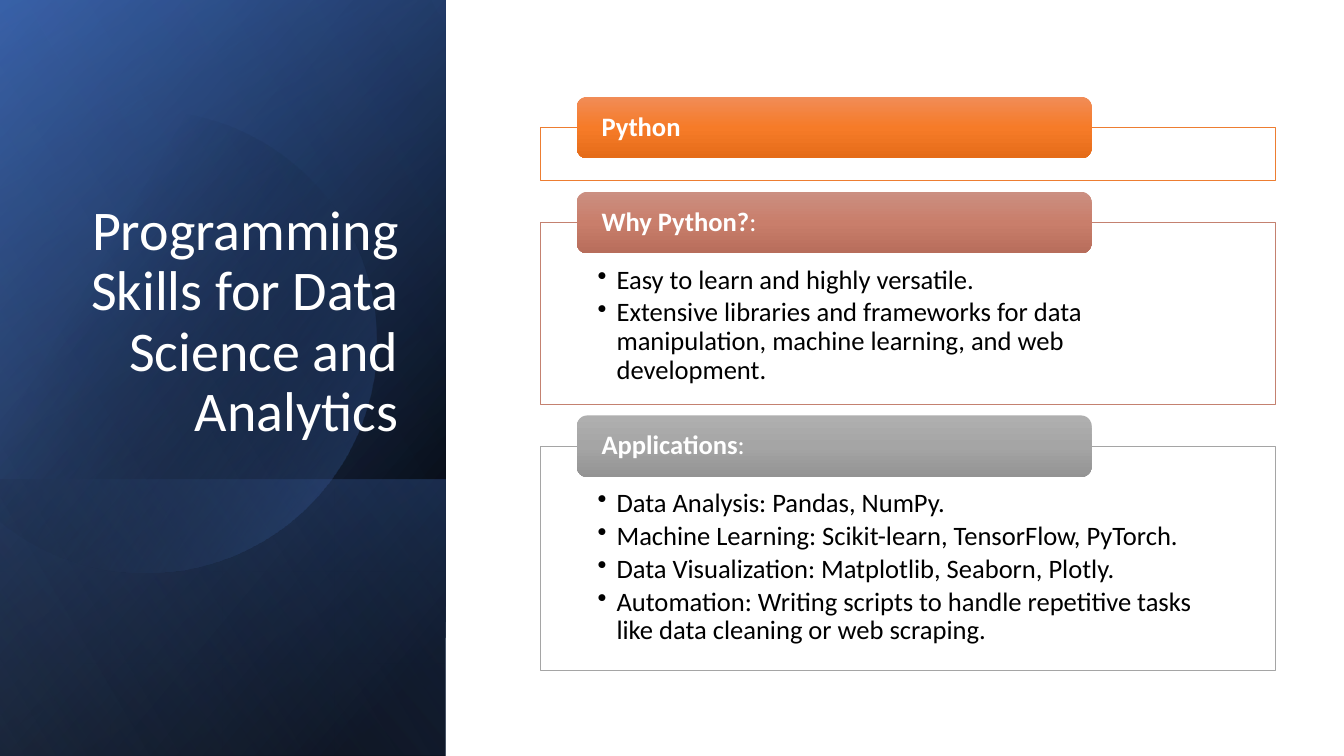
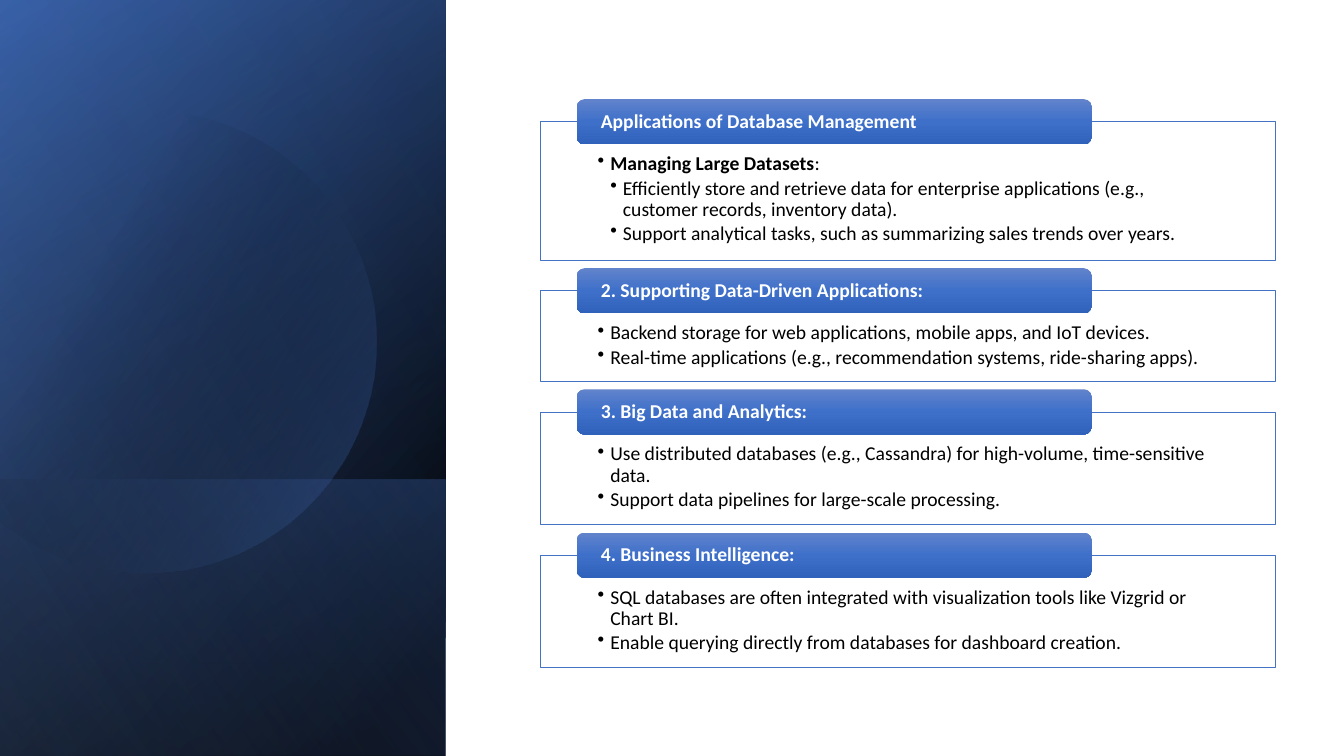
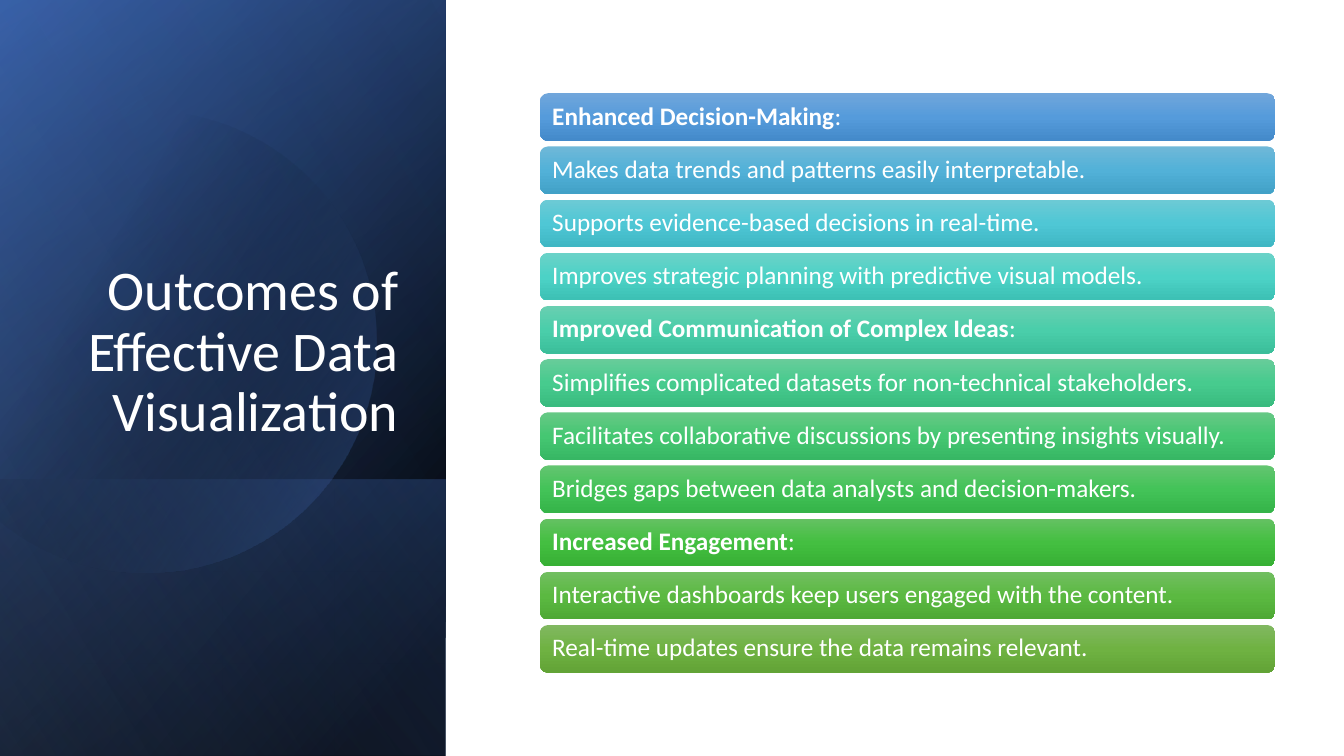
from math import acos, cos, radians, sin

from lxml import etree
from pptx import Presentation
from pptx.dml.color import RGBColor
from pptx.enum.shapes import MSO_SHAPE
from pptx.enum.text import MSO_ANCHOR, PP_ALIGN
from pptx.oxml.ns import qn
from pptx.util import Cm, Pt

RECT, ROUND = MSO_SHAPE.RECTANGLE, MSO_SHAPE.ROUNDED_RECTANGLE
TOP, MIDDLE, BOTTOM = MSO_ANCHOR.TOP, MSO_ANCHOR.MIDDLE, MSO_ANCHOR.BOTTOM
LEFT, RIGHT = PP_ALIGN.LEFT, PP_ALIGN.RIGHT
TITLE_ONLY, BLANK = 5, 6

FONT = "Calibri"
WHITE, BLACK, BLUE = "FFFFFF", "000000", "4472C4"
SLIDE_W, SLIDE_H = 33.87, 19.05
PANEL_W = 11.23
AREA_X, AREA_W = 13.61, 18.53      # content column right of the panel


def rgb(hex_color):
    return RGBColor.from_string(hex_color)


# ---- Shared helpers ----
def gradient(sp, stops, angle):
    """Stops are (position %, colour, opacity %)."""
    sp.fill.gradient()
    grad = sp._element.spPr.find(qn("a:gradFill"))
    gs_list = grad.find(qn("a:gsLst"))
    for old in list(gs_list):
        gs_list.remove(old)
    for pos, color, opacity in stops:
        gs = etree.SubElement(gs_list, qn("a:gs"), pos=str(pos * 1000))
        clr = etree.SubElement(gs, qn("a:srgbClr"), val=color)
        if opacity < 100:
            etree.SubElement(clr, qn("a:alpha"), val=str(opacity * 1000))
    grad.find(qn("a:lin")).set("ang", str(angle * 60000))
    sp.line.fill.background()
    sp.shadow.inherit = False


def add_box(s, kind, x, y, w, h):
    return s.shapes.add_shape(kind, Cm(x), Cm(y), Cm(w), Cm(h))


def set_frame(tf, anchor, side, top=0, bottom=0):
    tf.word_wrap = True
    tf.vertical_anchor = anchor
    tf.margin_left = tf.margin_right = Cm(side)
    tf.margin_top, tf.margin_bottom = Cm(top), Cm(bottom)


def write(p, bold, plain, size, color, align=LEFT):
    """Fill a paragraph with a bold part followed by a plain part."""
    p.alignment = align
    p.line_spacing = 0.9
    for text, is_bold in ((bold, True), (plain, False)):
        if text:
            r = p.add_run()
            r.text = text
            r.font.name, r.font.size, r.font.bold = FONT, Pt(size), is_bold
            r.font.color.rgb = rgb(color)


def make_bullet(p, indent, level, size):
    p.level = level
    p.space_after = Pt(size * 0.15)
    pPr = p._p.get_or_add_pPr()
    pPr.set("marL", str(Cm(indent * level)))
    pPr.set("indent", str(-Cm(indent)))
    etree.SubElement(pPr, qn("a:buChar"), char="•")


# ---- Left panel and title ----
def panel_layer(s, y, h, stops, angle):
    """Full-width layer, mirrored and turned a quarter so its gradient turns too."""
    sp = add_box(s, RECT, (PANEL_W - h) / 2, y + (h - PANEL_W) / 2, h, PANEL_W)
    sp.rotation = 90
    sp._element.spPr.find(qn("a:xfrm")).set("flipH", "1")
    gradient(sp, stops, angle)


def panel_circle(s, cx, cy, radius):
    """Circle cut off at the left slide edge."""
    limit = acos(-cx / radius)
    steps = 90
    angles = [limit * (2 * i / steps - 1) for i in range(steps + 1)]
    points = [(Cm(cx + radius * cos(a)), Cm(cy + radius * sin(a))) for a in angles]
    fb = s.shapes.build_freeform(*points[0])
    fb.add_line_segments(points[1:], close=True)
    gradient(fb.convert_to_shape(), [(29, BLACK, 0), (100, BLUE, 43)], 30)


def add_panel(s):
    panel_layer(s, 0, SLIDE_H, [(8, BLACK, 100), (100, "2F5597", 100)], 50)
    panel_layer(s, 0, SLIDE_H, [(0, BLACK, 0), (99, BLUE, 46)], 30)
    panel_layer(s, 12.09, 6.96, [(2, BLUE, 29), (100, BLACK, 30)], 130)
    panel_circle(s, 3.68, 8.6, 5.82)
    panel_layer(s, 0, SLIDE_H, [(0, BLACK, 0), (99, "8FAADC", 11)], 120)


def new_slide(prs, title=None):
    s = prs.slides.add_slide(prs.slide_layouts[TITLE_ONLY if title else BLANK])
    add_panel(s)
    if title:
        sp = s.shapes.title
        s.shapes._spTree.append(sp._element)     # bring in front of the panel
        sp.left, sp.top, sp.width, sp.height = Cm(1.63), Cm(4.67), Cm(8.66), Cm(6.65)
        set_frame(sp.text_frame, BOTTOM, 0.25, 0.13, 0.13)
        write(sp.text_frame.paragraphs[0], "", title, 40, WHITE, RIGHT)
    return s


# ---- Content regions ----
def gradient_bar(s, x, y, w, h, colors, text, size, side):
    sp = add_box(s, ROUND, x, y, w, h)
    gradient(sp, [(pos, c, 100) for pos, c in zip((0, 50, 100), colors)], 90)
    set_frame(sp.text_frame, MIDDLE, side)
    write(sp.text_frame.paragraphs[0], *text, size, WHITE)


def tabbed_boxes(s, x, y, w, sections, size, tab_h, gap, indent, top_inset):
    """Outlined boxes stacked downwards, each with a tab across its top edge."""
    for header, box_h, line_color, tab_colors, bullets in sections:
        box_y = y + tab_h / 2
        sp = add_box(s, RECT, x, box_y, w, box_h)
        sp.shadow.inherit = False
        sp.fill.solid()
        sp.fill.fore_color.rgb = rgb(WHITE)
        sp.line.color.rgb = rgb(line_color)
        sp.line.width = Pt(0.5)
        tf = sp.text_frame
        set_frame(tf, TOP, 1.45, top_inset)
        for i, (level, bold, plain) in enumerate(bullets):
            p = tf.add_paragraph() if i else tf.paragraphs[0]
            write(p, bold, plain, size, BLACK)
            make_bullet(p, indent, level, size)
        gradient_bar(s, x + 0.05 * w, y, 0.7 * w, tab_h, tab_colors, header, size, 0.55)
        y = box_y + box_h + gap


def bar_list(s, x, y, w, bars, bar_h, pitch):
    for i, (colors, *text) in enumerate(bars):
        gradient_bar(s, x, y + i * pitch, w, bar_h, colors, text, 18, 0.25)


# ---- Content ----
PYTHON_SECTIONS = [
    (("Python", ""), 1.33, "ED7D31", ("F18C57", "F67B28", "E56C19"), []),
    (("Why Python?", ":"), 4.57, "C48170", ("CB8F81", "C97E6B", "B76D5B"), [
        (1, "", "Easy to learn and highly versatile."),
        (1, "", "Extensive libraries and frameworks for data manipulation, "
                "machine learning, and web development.")]),
    (("Applications", ":"), 5.66, "A5A5A5", ("AFAFAF", "A5A5A5", "939393"), [
        (1, "", "Data Analysis: Pandas, NumPy."),
        (1, "", "Machine Learning: Scikit-learn, TensorFlow, PyTorch."),
        (1, "", "Data Visualization: Matplotlib, Seaborn, Plotly."),
        (1, "", "Automation: Writing scripts to handle repetitive tasks "
                "like data cleaning or web scraping.")]),
]

BLUE_TAB = ("6183CB", "3E70CA", "3062BB")
DATABASE_SECTIONS = [
    (("Applications of Database Management", ""), 3.48, BLUE, BLUE_TAB, [
        (1, "Managing Large Datasets", ":"),
        (2, "", "Efficiently store and retrieve data for enterprise applications "
                "(e.g., customer records, inventory data)."),
        (2, "", "Support analytical tasks, such as summarizing sales trends over years.")]),
    (("2. Supporting Data-Driven Applications:", ""), 2.27, BLUE, BLUE_TAB, [
        (1, "", "Backend storage for web applications, mobile apps, and IoT devices."),
        (1, "", "Real-time applications (e.g., recommendation systems, ride-sharing apps).")]),
    (("3. Big Data and Analytics:", ""), 2.83, BLUE, BLUE_TAB, [
        (1, "", "Use distributed databases (e.g., Cassandra) for high-volume, "
                "time-sensitive data."),
        (1, "", "Support data pipelines for large-scale processing.")]),
    (("4. Business Intelligence:", ""), 2.83, BLUE, BLUE_TAB, [
        (1, "", "SQL databases are often integrated with visualization tools "
                "like Vizgrid or Chart BI."),
        (1, "", "Enable querying directly from databases for dashboard creation.")]),
]

OUTCOME_BARS = [
    (("71A6DB", "559BDB", "448ACA"), "Enhanced Decision-Making", ":"),
    (("6FB8D8", "52B1D8", "42A1C7"), "",
     "Makes data trends and patterns easily interpretable."),
    (("6DCAD5", "4FC7D5", "3FB7C4"), "",
     "Supports evidence-based decisions in real-time."),
    (("6BD2C8", "4CD2C6", "3DC1B5"), "",
     "Improves strategic planning with predictive visual models."),
    (("69CFB1", "4ACEAA", "3BBE9A"), "Improved Communication of Complex Ideas", ":"),
    (("67CC9A", "47CB8E", "39BB7F"), "",
     "Simplifies complicated datasets for non-technical stakeholders."),
    (("66C885", "45C772", "37B764"), "",
     "Facilitates collaborative discussions by presenting insights visually."),
    (("64C571", "43C358", "35B449"), "",
     "Bridges gaps between data analysts and decision-makers."),
    (("64C162", "44BF41", "37B034"), "Increased Engagement", ":"),
    (("72BE61", "5BB941", "4EA935"), "",
     "Interactive dashboards keep users engaged with the content."),
    (("81B861", "6FB242", "62A336"), "",
     "Real-time updates ensure the data remains relevant."),
]


def main():
    prs = Presentation()
    prs.slide_width, prs.slide_height = Cm(SLIDE_W), Cm(SLIDE_H)

    s = new_slide(prs, "Programming Skills for Data Science and Analytics")
    tabbed_boxes(s, AREA_X, 2.44, AREA_W, PYTHON_SECTIONS, size=19,
                 tab_h=1.55, gap=0.29, indent=0.48, top_inset=1.1)

    s = new_slide(prs)
    tabbed_boxes(s, AREA_X, 2.5, AREA_W, DATABASE_SECTIONS, size=14,
                 tab_h=1.14, gap=0.21, indent=0.32, top_inset=0.81)

    s = new_slide(prs, "Outcomes of Effective Data Visualization")
    bar_list(s, AREA_X, 2.35, AREA_W, OUTCOME_BARS, bar_h=1.2, pitch=1.34)

    prs.save("out.pptx")


if __name__ == "__main__":
    main()
